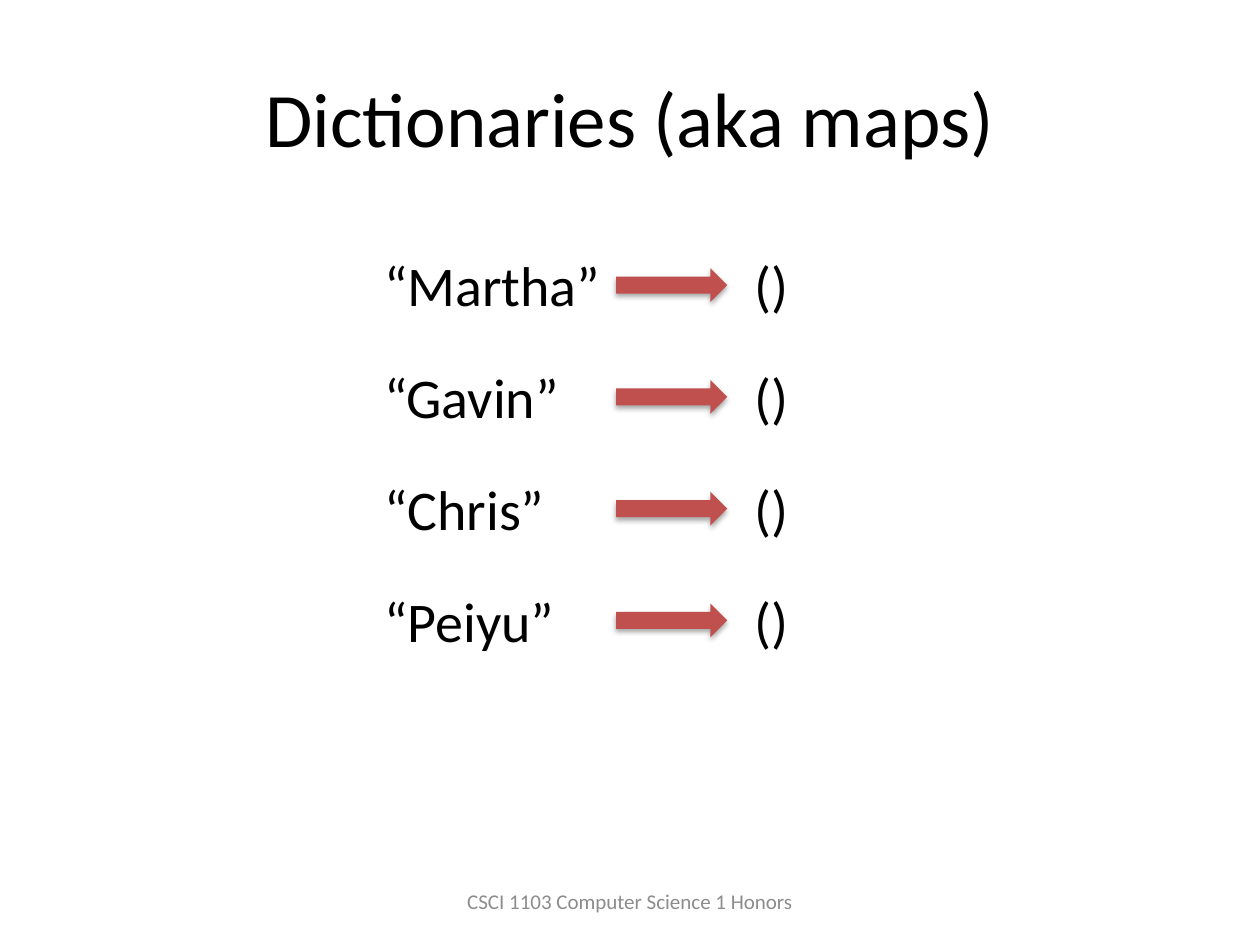
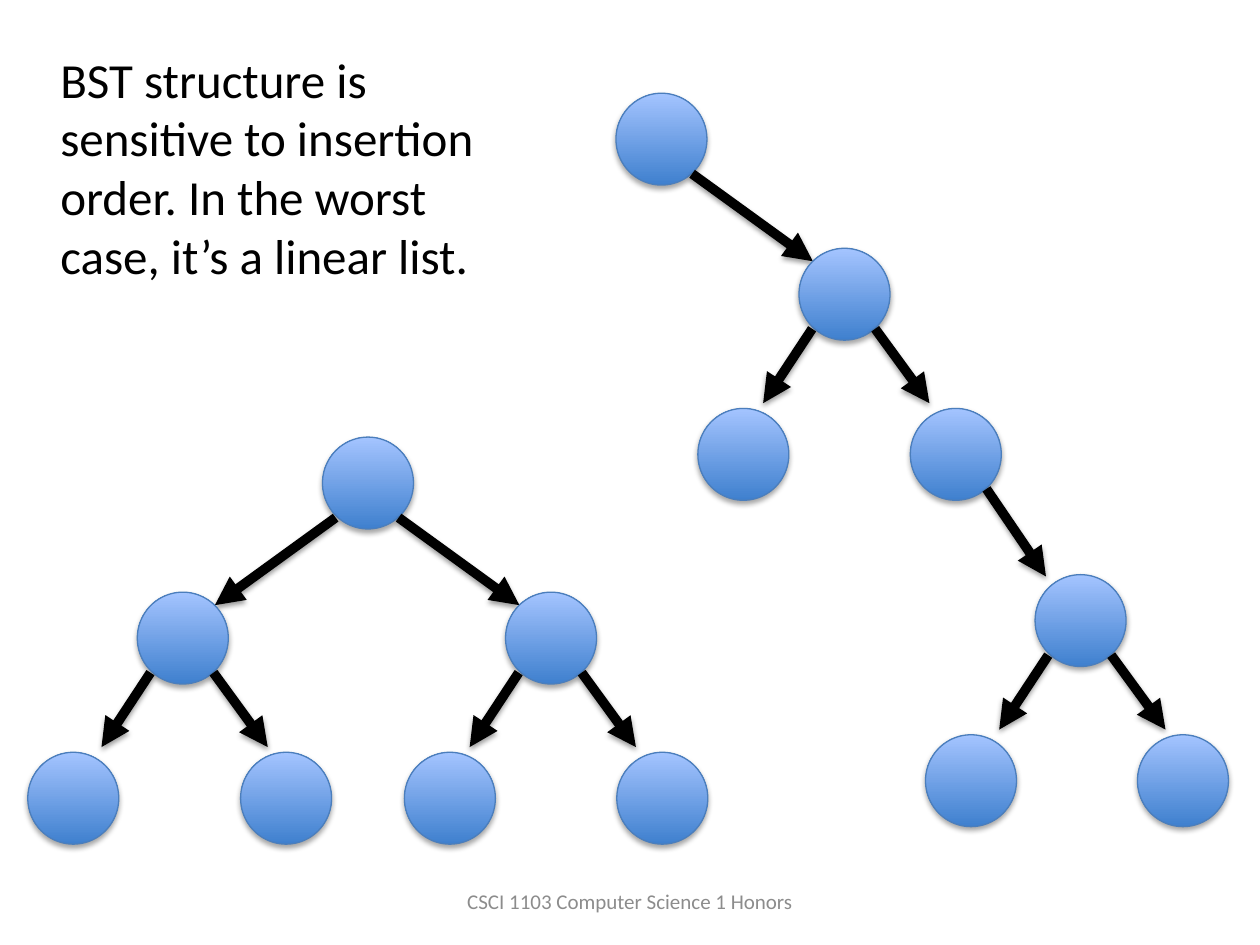
from dataclasses import dataclass

from lxml.etree import SubElement
from pptx import Presentation
from pptx.dml.color import RGBColor
from pptx.enum.shapes import MSO_CONNECTOR, MSO_SHAPE
from pptx.enum.text import MSO_ANCHOR, MSO_AUTO_SIZE, PP_ALIGN
from pptx.oxml.ns import qn
from pptx.util import Pt


@dataclass(frozen=True)
class Theme:
    font: str = "Calibri"
    ink: RGBColor = RGBColor(0x00, 0x00, 0x00)
    footer_ink: RGBColor = RGBColor(0x8C, 0x8C, 0x8C)
    arrow: RGBColor = RGBColor(0xC0, 0x50, 0x4D)
    node_bottom: RGBColor = RGBColor(0x3F, 0x80, 0xCE)
    node_top: RGBColor = RGBColor(0xA4, 0xC4, 0xFF)
    node_line: RGBColor = RGBColor(0x4B, 0x7E, 0xBC)
    title_size: int = 44
    entry_size: int = 32
    body_size: int = 28
    footer_size: int = 12


@dataclass(frozen=True)
class Branch:
    offset: tuple
    reach: tuple
    children: tuple = ()


THEME = Theme()
NODE_WIDTH, NODE_HEIGHT = 52, 52.5
WIDE, NARROW_LEFT, NARROW_RIGHT, STEEP = (69, 50), (-28, 42.5), (31, 42.5), (34, 50)


def add_text(slide, box, text, size, color=THEME.ink, align=PP_ALIGN.LEFT,
             anchor=MSO_ANCHOR.TOP, wrap=True, grow=False):
    frame = slide.shapes.add_textbox(*map(Pt, box)).text_frame
    frame.word_wrap = wrap
    frame.vertical_anchor = anchor
    frame.auto_size = MSO_AUTO_SIZE.SHAPE_TO_FIT_TEXT if grow else MSO_AUTO_SIZE.NONE
    paragraph = frame.paragraphs[0]
    paragraph.text = text
    paragraph.alignment = align
    paragraph.font.name = THEME.font
    paragraph.font.size = Pt(size)
    paragraph.font.color.rgb = color


def add_shadow(shape, distance, opacity):
    effects = SubElement(shape._element.spPr, qn("a:effectLst"))
    shadow = SubElement(effects, qn("a:outerShdw"), blurRad=str(Pt(3.1)),
                        dist=str(Pt(distance)), dir="5400000", rotWithShape="0")
    color = SubElement(shadow, qn("a:srgbClr"), val="000000")
    SubElement(color, qn("a:alpha"), val=str(opacity * 1000))


def add_title(slide, box, text):
    add_text(slide, box, text, THEME.title_size, align=PP_ALIGN.CENTER,
             anchor=MSO_ANCHOR.MIDDLE)


def add_footer(slide, box):
    add_text(slide, box, "CSCI 1103 Computer Science 1 Honors", THEME.footer_size,
             THEME.footer_ink, PP_ALIGN.CENTER, MSO_ANCHOR.MIDDLE)


def add_dictionary(slide, box, entries):
    left, top, width, height = box
    pitch = height / len(entries)
    for index, (key, key_width) in enumerate(entries):
        row = top + index * pitch
        add_text(slide, (left, row, key_width, 46), key, THEME.entry_size,
                 wrap=False, grow=True)
        add_text(slide, (left + width - 34.5, row, 34.5, 46), "()", THEME.entry_size,
                 wrap=False, grow=True)
        arrow = slide.shapes.add_shape(MSO_SHAPE.RIGHT_ARROW, Pt(left + 139.7),
                                       Pt(row + 13.5), Pt(63.5), Pt(19.4))
        arrow.fill.solid()
        arrow.fill.fore_color.rgb = THEME.arrow
        arrow.line.fill.background()
        add_shadow(arrow, 1.8, 35)


def add_node(group, left, top):
    node = group.shapes.add_shape(MSO_SHAPE.OVAL, Pt(left), Pt(top),
                                  Pt(NODE_WIDTH), Pt(NODE_HEIGHT))
    node.fill.gradient()
    node.fill.gradient_angle = 90
    for stop, color in zip(node.fill.gradient_stops, (THEME.node_bottom, THEME.node_top)):
        stop.color.rgb = color
    node.line.color.rgb = THEME.node_line
    node.line.width = Pt(0.75)
    add_shadow(node, 1.8, 35)


def add_edge(group, left, top, reach):
    start_x = left + (43.5 if reach[0] > 0 else 7.5)
    start_y = top + 46
    edge = group.shapes.add_connector(MSO_CONNECTOR.STRAIGHT, Pt(start_x), Pt(start_y),
                                      Pt(start_x + reach[0]), Pt(start_y + reach[1]))
    edge.line.color.rgb = THEME.ink
    edge.line.width = Pt(5.5)
    SubElement(edge.line._get_or_add_ln(), qn("a:tailEnd"), type="triangle")
    add_shadow(edge, 1.6, 38)


def add_tree(group, left, top, children):
    add_node(group, left, top)
    for child in children:
        add_edge(group, left, top, child.reach)
        add_tree(group, left + child.offset[0], top + child.offset[1], child.children)


def leaf_pair(left_offset, right_offset, right_children=()):
    return (Branch((left_offset, 91.5), NARROW_LEFT),
            Branch((right_offset, 91.5), NARROW_RIGHT, right_children))


def build_dictionary_slide(slide):
    add_title(slide, (36, 21.6, 648, 90), "Dictionaries (aka maps)")
    add_dictionary(slide, (212.4, 139.7, 246.2, 255.5),
                   (("“Martha”", 139.7), ("“Gavin”", 115.2),
                    ("“Chris”", 107.3), ("“Peiyu”", 113)))


def build_tree_slide(slide):
    lower = Branch((71.3, 95), STEEP, leaf_pair(-62.6, 58.5))
    unbalanced = (Branch((104.6, 88.6), WIDE, leaf_pair(-57.8, 63.6, (lower,))),)
    balanced = (Branch((-105.8, 88.6), (-WIDE[0], WIDE[1]), leaf_pair(-62.6, 59)),
                Branch((104.6, 88.6), WIDE, leaf_pair(-57.8, 63.6)))
    for left, top, children in ((352, 53.3, unbalanced), (184.3, 249.8, balanced)):
        add_tree(slide.shapes.add_group_shape(), left, top, children)
    add_text(slide, (27.4, 24.5, 261.4, 143.3),
             "BST structure is sensitive to insertion order. "
             "In the worst case, it’s a linear list.", THEME.body_size, grow=True)


presentation = Presentation()
presentation.slide_width, presentation.slide_height = Pt(720), Pt(540)
for build_slide in (build_dictionary_slide, build_tree_slide):
    slide = presentation.slides.add_slide(presentation.slide_layouts[6])
    add_footer(slide, (246, 500.5, 228, 28.8))
    build_slide(slide)
presentation.save("out.pptx")
